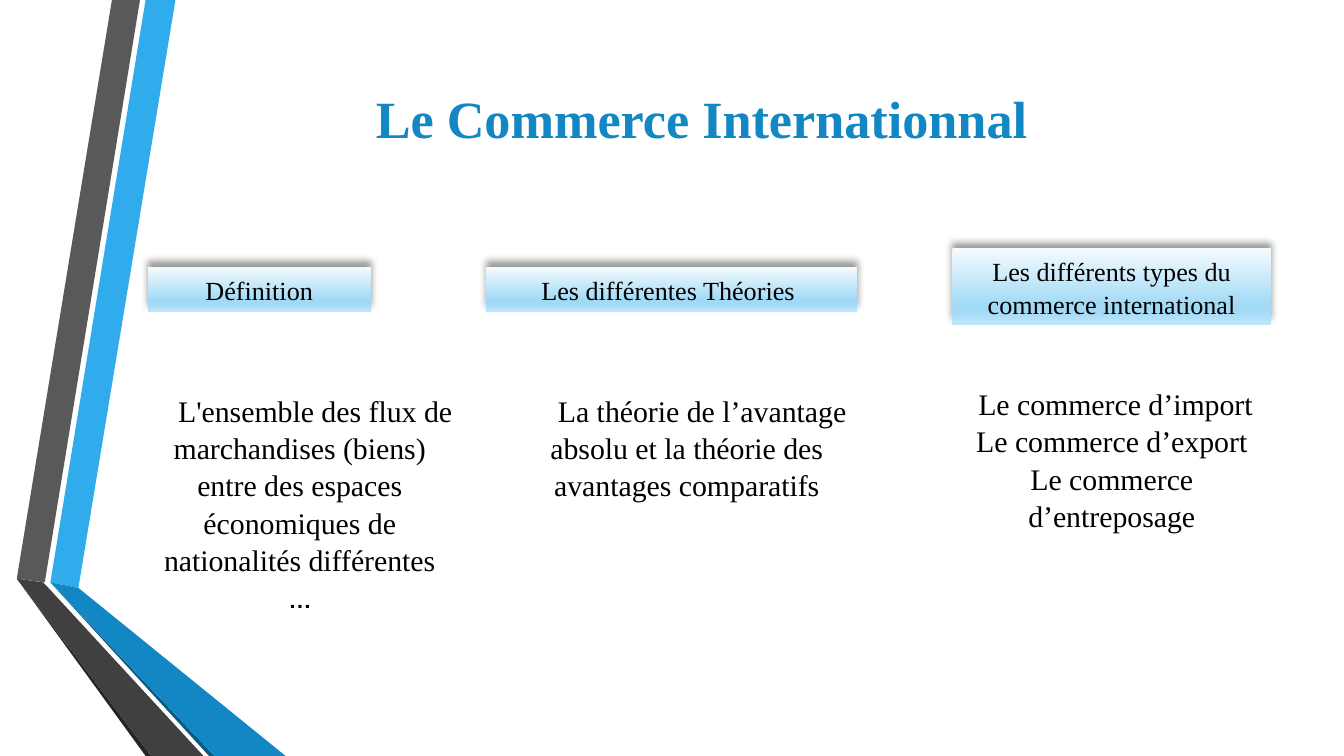
"""Build the slide that sums up international trade in three columns."""
from lxml import etree
from pptx import Presentation
from pptx.dml.color import RGBColor
from pptx.enum.shapes import MSO_SHAPE as Shape
from pptx.enum.text import MSO_ANCHOR as Anchor, PP_ALIGN as Align
from pptx.oxml import parse_xml
from pptx.oxml.ns import nsdecls, qn
from pptx.util import Pt

BLACK = RGBColor(0x00, 0x00, 0x00)
SKY = RGBColor(0x30, 0xAC, 0xEC)
BLUE = RGBColor(0x12, 0x87, 0xC3)
NAVY = RGBColor(0x0C, 0x5A, 0x82)
GREY = RGBColor(0x59, 0x59, 0x59)
CHARCOAL = RGBColor(0x40, 0x40, 0x40)
DARK = RGBColor(0x26, 0x26, 0x26)
ICE = RGBColor(0xF5, 0xFB, 0xFE)
PALE = RGBColor(0xA2, 0xDA, 0xF6)
MIST = RGBColor(0xC1, 0xE6, 0xF9)

LABEL_STOPS = [(0, ICE), (74, PALE), (83, PALE), (100, MIST)]
WIDTH, HEIGHT = 720, 405
HANG = 16.5

RIBBONS = [
    (SKY, [(27.4, 312.5), (41.8, 314.6), (93.6, 0), (78.5, 0)]),
    (GREY, [(74.9, 0), (59.8, 0), (8.6, 309.6), (23.8, 311.8)]),
    (DARK, [(8.6, 309.6), (78.5, HEIGHT), (81.4, HEIGHT)]),
    (NAVY, [(27.4, 312.5), (112.3, HEIGHT), (115.2, HEIGHT)]),
    (BLUE, [(27.4, 312.5), (115.2, HEIGHT), (152.6, HEIGHT), (41.8, 314.6)]),
    (CHARCOAL, [(108.7, HEIGHT), (25.9, 315.4), (23.4, 311.8),
                (8.6, 309.6), (81.4, HEIGHT)]),
]
LABELS = [
    ("Définition", (79.2, 142.8, 119.5, 24.3)),
    ("Les différentes Théories ", (260.4, 142.8, 198.7, 24.3)),
    ("Les différents types du commerce international",
     (510.2, 133, 170.8, 41)),
]
DETAILS = [
    (["L'ensemble des flux de marchandises (biens) entre des espaces "
      "économiques de nationalités différentes ..."],
     (79.2, 202.3, 179.3, 135.4), HANG),
    (["La théorie de l’avantage absolu et la théorie des avantages "
      "comparatifs"], (281.5, 202.3, 189.4, 77), HANG),
    (["Le commerce d’import ", "Le commerce d’export",
      "Le commerce d’entreposage"], (510.2, 198.7, 170.8, 97.2), 0),
]


class SlideBuilder:
    """Hold the text style and the slide being filled."""

    font_name = "Times New Roman"

    def __init__(self, slide):
        self.slide = slide

    def set_text(self, frame, lines, size, color, bold=False, spacing=1.0):
        """Fill a text frame with centred paragraphs."""
        frame.word_wrap = True
        frame.text = "\n".join(lines)
        for paragraph in frame.paragraphs:
            paragraph.alignment = Align.CENTER
            paragraph.line_spacing = spacing
            font = paragraph.font
            font.name, font.size, font.bold = self.font_name, Pt(size), bold
            font.color.rgb = color

    def inset(self, frame, margin):
        """Set the same margin on all four sides."""
        frame.margin_left = frame.margin_right = Pt(margin)
        frame.margin_top = frame.margin_bottom = Pt(margin)

    def title(self, text, box):
        """Place and format the title placeholder."""
        heading = self.slide.shapes.title
        heading.left, heading.top, heading.width, heading.height = map(Pt, box)
        frame = heading.text_frame
        self.set_text(frame, [text], 28, BLUE, bold=True)
        self.inset(frame, 7.2)
        frame.vertical_anchor = Anchor.MIDDLE

    def ribbon(self, color, points):
        """Draw one closed facet of the side ribbon."""
        outline = self.slide.shapes.build_freeform(*points[0], scale=Pt(1))
        outline.add_line_segments(points[1:], close=True)
        facet = outline.convert_to_shape()
        facet.shadow.inherit = False
        facet.fill.solid()
        facet.fill.fore_color.rgb = color
        facet.line.fill.background()

    def label(self, text, box):
        """Draw a gradient column heading with a shadow above it."""
        heading = self.slide.shapes.add_shape(Shape.RECTANGLE, *map(Pt, box))
        heading.line.fill.background()
        heading.shadow.inherit = False
        heading.fill.gradient()
        heading.fill.gradient_angle = 270
        properties = heading._element.spPr
        stops = properties.find(".//" + qn("a:gsLst"))
        for stop in list(stops):
            stops.remove(stop)
        for position, color in LABEL_STOPS:
            stop = etree.SubElement(stops, qn("a:gs"), pos=str(position * 1000))
            etree.SubElement(stop, qn("a:srgbClr"), val=str(color))
        properties.find(qn("a:effectLst")).append(parse_xml(
            f'<a:outerShdw {nsdecls("a")} blurRad="{Pt(4)}" dist="{Pt(3)}" '
            'dir="16200000" rotWithShape="0"><a:srgbClr val="000000">'
            '<a:alpha val="40000"/></a:srgbClr></a:outerShdw>'))
        self.set_text(heading.text_frame, [text], 14, BLACK, spacing=1.06)
        heading.text_frame.vertical_anchor = Anchor.MIDDLE

    def detail(self, lines, box, hang):
        """Add right-to-left body text with an optional hanging indent."""
        frame = self.slide.shapes.add_textbox(*map(Pt, box)).text_frame
        self.set_text(frame, lines, 16, BLACK, spacing=1.04)
        self.inset(frame, 7.2)
        for paragraph in frame.paragraphs:
            properties = paragraph._p.get_or_add_pPr()
            properties.set("rtl", "1")
            properties.set("marL", str(Pt(hang)))
            properties.set("indent", str(-Pt(hang)))


def main():
    """Build and save the presentation."""
    deck = Presentation()
    deck.slide_width, deck.slide_height = Pt(WIDTH), Pt(HEIGHT)
    builder = SlideBuilder(deck.slides.add_slide(deck.slide_layouts[5]))
    for color, points in RIBBONS:
        builder.ribbon(color, points)
    builder.title("Le Commerce Internationnal", (188.6, 36.7, 374.4, 52.6))
    for text, box in LABELS:
        builder.label(text, box)
    for lines, box, hang in DETAILS:
        builder.detail(lines, box, hang)
    deck.save("out.pptx")


if __name__ == "__main__":
    main()
